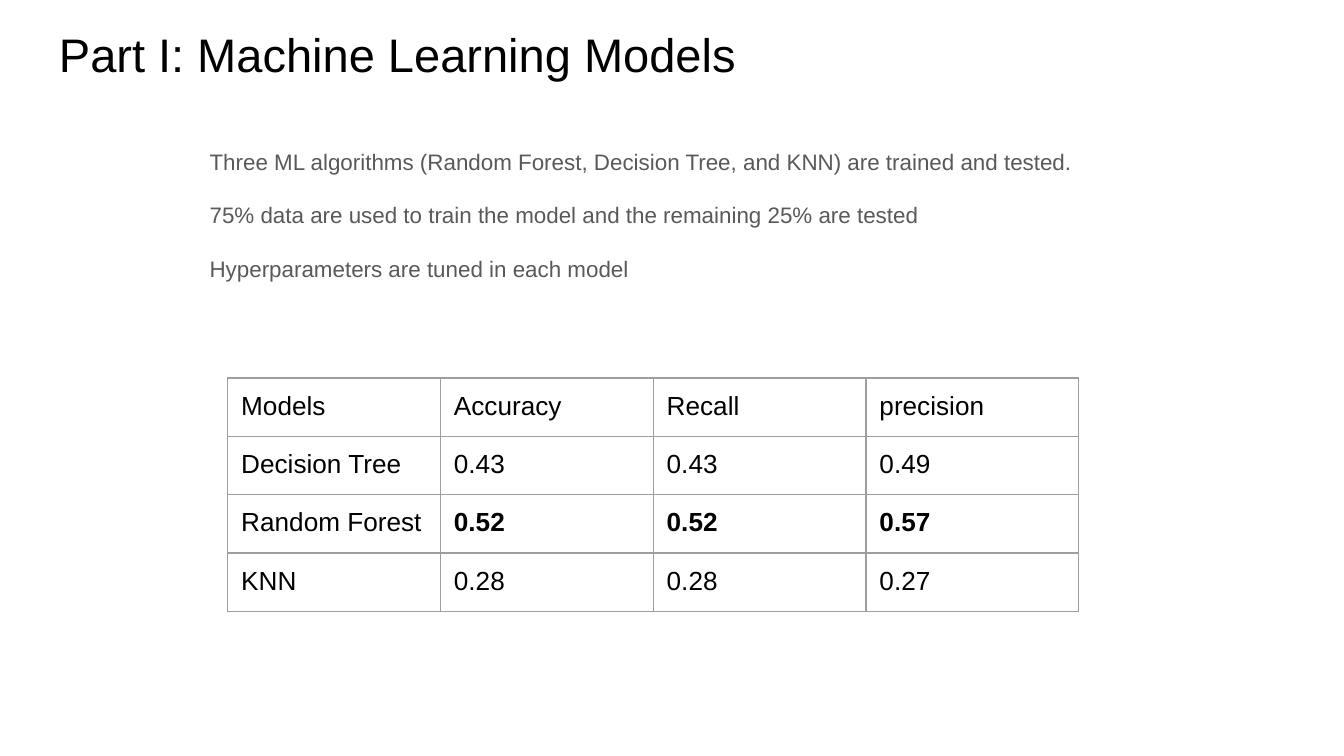
import pptx
import pptx.dml.color
import pptx.enum.text
import pptx.oxml
import pptx.oxml.ns
import pptx.util

Pt = pptx.util.Pt
Anchor = pptx.enum.text.MSO_ANCHOR

COLORS = {"title": "000000", "body": "595959", "cell": "000000", "border": "9E9E9E"}
MARGINS = {f"margin_{side}": Pt(7.2) for side in ("left", "top", "right", "bottom")}
STATEMENTS = [
    "Three ML algorithms (Random Forest, Decision Tree, and KNN) are trained and tested.",
    "75% data are used to train the model and the remaining 25% are tested",
    "Hyperparameters are tuned in each model",
]
SCORES = [
    ["Models", "Accuracy", "Recall", "precision"],
    ["Decision Tree", "0.43", "0.43", "0.49"],
    ["Random Forest", "0.52", "0.52", "0.57"],
    ["KNN", "0.28", "0.28", "0.27"],
]
BEST_MODEL = "Random Forest"


def apply_format(target, values):
    for name, value in values.items():
        setattr(target, name, value)


def write_run(paragraph, text, size, color, bold=False):
    run = paragraph.add_run()
    run.text = text
    apply_format(run.font, {"name": "Arial", "size": Pt(size), "bold": bold})
    run.font.color.rgb = pptx.dml.color.RGBColor.from_string(COLORS[color])


def add_text_frame(slide, box, anchor):
    shape = slide.shapes.add_textbox(*map(Pt, box))
    frame = shape.text_frame
    apply_format(frame, {"word_wrap": True, "vertical_anchor": anchor, **MARGINS})
    return frame


def add_title(slide, box):
    frame = add_text_frame(slide, box, Anchor.BOTTOM)
    write_run(frame.paragraphs[0], "Part I: Machine Learning Models", 25.2, "title")


def add_statements(slide, box):
    frame = add_text_frame(slide, box, Anchor.TOP)
    for index, statement in enumerate(STATEMENTS):
        paragraph = frame.add_paragraph() if index else frame.paragraphs[0]
        apply_format(paragraph, {"line_spacing": 1.15, "space_before": Pt(12 if index else 0)})
        write_run(paragraph, statement, 12, "body")
    paragraph.space_after = Pt(12)


def add_borders(cell):
    properties = cell._tc.get_or_add_tcPr()
    for index, side in enumerate(("lnL", "lnR", "lnT", "lnB")):
        border = pptx.oxml.parse_xml(
            f'<a:{side} {pptx.oxml.ns.nsdecls("a")} w="{Pt(0.75)}">'
            f'<a:solidFill><a:srgbClr val="{COLORS["border"]}"/></a:solidFill></a:{side}>'
        )
        properties.insert(index, border)


def add_score_table(slide, box):
    left, top, width, height = box
    row_count, column_count = len(SCORES), len(SCORES[0])
    table = slide.shapes.add_table(row_count, column_count, *map(Pt, box)).table
    apply_format(table, {"first_row": False, "horz_banding": False})
    for column in table.columns:
        column.width = Pt(width / column_count)
    for row, values in zip(table.rows, SCORES):
        row.height = Pt(height / row_count)
        for index, (cell, value) in enumerate(zip(row.cells, values)):
            apply_format(cell, MARGINS)
            cell.fill.background()
            add_borders(cell)
            bold = index > 0 and values[0] == BEST_MODEL
            write_run(cell.text_frame.paragraphs[0], value, 14, "cell", bold)


def main():
    presentation = pptx.Presentation()
    apply_format(presentation, {"slide_width": Pt(720), "slide_height": Pt(405)})
    slide = presentation.slides.add_slide(presentation.slide_layouts[6])
    add_title(slide, (24.5, 5.8, 420, 45.4))
    add_score_table(slide, (122, 202.5, 456, 120))
    add_statements(slide, (105.2, 70, 500, 101))
    presentation.save("out.pptx")


if __name__ == "__main__":
    main()
